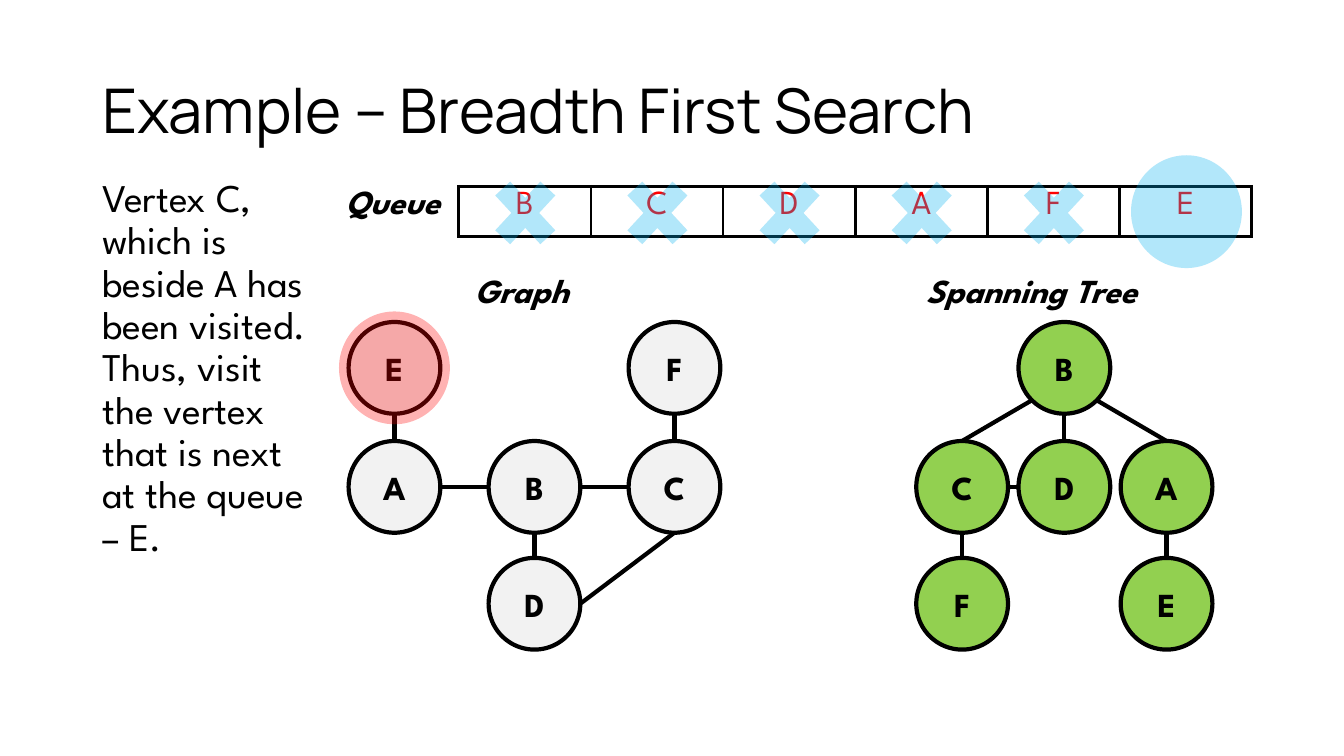
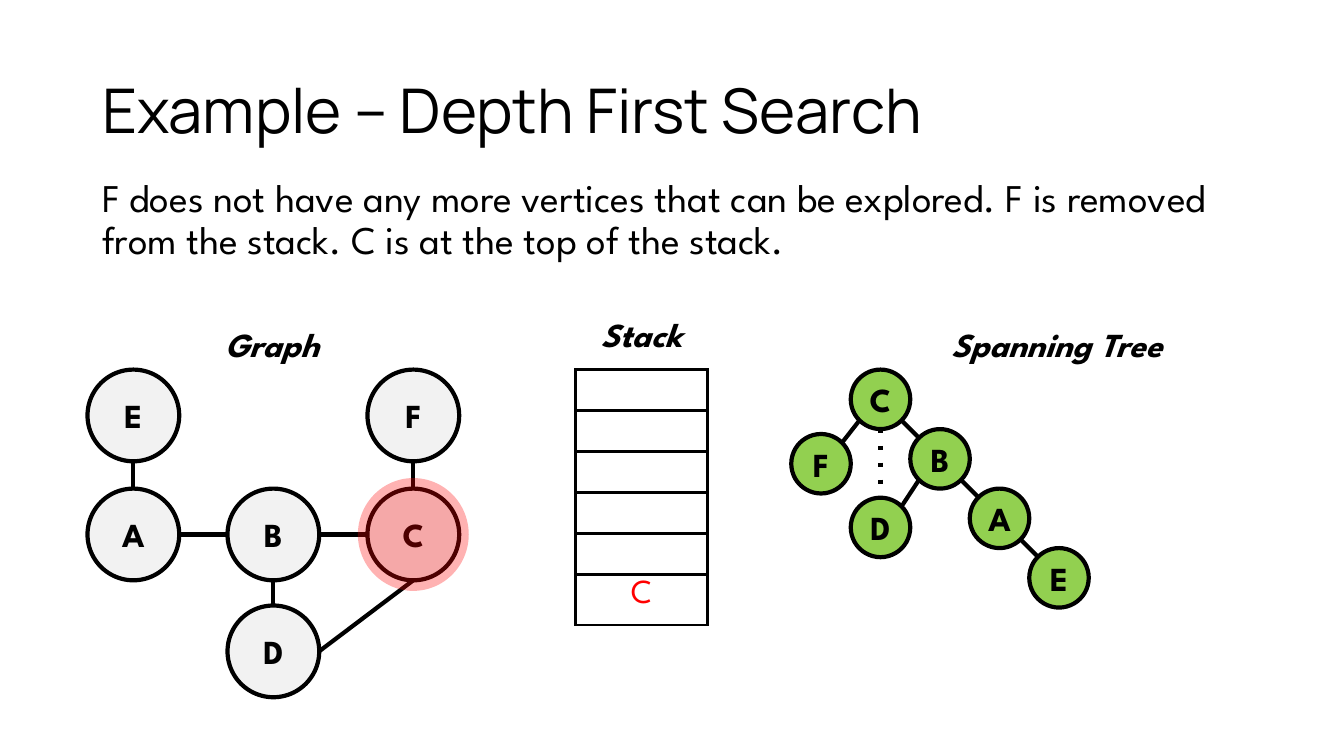
"""Builds two slides on breadth first and depth first search."""
from lxml import etree
from pptx import Presentation
from pptx.dml.color import RGBColor
from pptx.enum.dml import MSO_LINE
from pptx.enum.shapes import MSO_CONNECTOR, MSO_SHAPE
from pptx.enum.text import MSO_ANCHOR, PP_ALIGN
from pptx.oxml.ns import qn
from pptx.util import Pt

BLACK = RGBColor(0x00, 0x00, 0x00)
WHITE = RGBColor(0xFF, 0xFF, 0xFF)
GRAY = RGBColor(0xF2, 0xF2, 0xF2)
GREEN = RGBColor(0x92, 0xD0, 0x50)
RED = RGBColor(0xFF, 0x00, 0x00)
BLUE = RGBColor(0x00, 0xB0, 0xF0)
OVAL = MSO_SHAPE.OVAL
CROSS = MSO_SHAPE.MATH_MULTIPLY
STRAIGHT = MSO_CONNECTOR.STRAIGHT
DOT = MSO_LINE.ROUND_DOT
MIDDLE = MSO_ANCHOR.MIDDLE
TOP = MSO_ANCHOR.TOP
CENTER = PP_ALIGN.CENTER
LEFT = PP_ALIGN.LEFT

HEAD, BODY = "Manrope", "League Spartan"
WIDE, TALL = 94.4, 29.3
BIG, SMALL = 65.5, 42.5
DIAG = 0.5 ** 0.5
SIDES = {
    "n": (0, -1), "s": (0, 1), "e": (1, 0), "w": (-1, 0),
    "ne": (DIAG, -DIAG), "nw": (-DIAG, -DIAG),
    "se": (DIAG, DIAG), "sw": (-DIAG, DIAG),
}
GRAPH = {"A": (0, 85), "B": (100, 85), "C": (200, 85),
         "F": (200, 0), "D": (100, 168.5), "E": (0, 0)}
LINKS = ["E s A n", "A e B w", "B e C w", "C n F s", "B s D n", "C s D e"]


class Deck:
    """Holds the style and the current slide."""

    def __init__(self):
        self.prs = Presentation()
        self.prs.slide_width, self.prs.slide_height = Pt(960), Pt(540)

    def page(self, title):
        self.slide = self.prs.slides.add_slide(self.prs.slide_layouts[6])
        box = self.text(title, 66, 29, 828, 104, 44, HEAD)
        box.vertical_anchor = MIDDLE

    def style(self, frame, size=24, font=BODY, color=BLACK,
              bold=False, slant=False, align=LEFT):
        for para in frame.paragraphs:
            para.alignment = align
            for run in para.runs:
                run.font.size, run.font.name = Pt(size), font
                run.font.bold, run.font.italic = bold, slant
                run.font.color.rgb = color

    def text(self, words, x, y, w, h, size=28, font=BODY, **look):
        box = self.slide.shapes.add_textbox(Pt(x), Pt(y), Pt(w), Pt(h))
        frame = box.text_frame
        frame.word_wrap = True
        frame.vertical_anchor = TOP
        frame.text = words
        frame.paragraphs[0].line_spacing = 0.9
        self.style(frame, size, font, **look)
        return frame

    def label(self, words, x, y, w):
        frame = self.text(words, x, y, w, 36, 24, bold=True, slant=True)
        frame.paragraphs[0].line_spacing = 1.0

    def shape(self, kind, x, y, w, h, color):
        item = self.slide.shapes.add_shape(kind, Pt(x), Pt(y), Pt(w), Pt(h))
        item.shadow.inherit = False
        item.fill.solid()
        item.fill.fore_color.rgb = color
        return item

    def tint(self, kind, x, y, w, h, color):
        item = self.shape(kind, x, y, w, h, color)
        tone = item._element.spPr.find(".//" + qn("a:srgbClr"))
        etree.SubElement(tone, qn("a:alpha"), val="30000")
        item.line.fill.background()
        return item

    def halo(self, x, y, color):
        self.tint(OVAL, x - 39.6, y - 40.3, 79.2, 80.6, color)

    def cross(self, x, y):
        self.tint(CROSS, x, y, 62, 67, BLUE).adjustments[0] = 0.235

    def node(self, name, x, y, size, color):
        item = self.shape(OVAL, x, y, size, size, color)
        item.line.color.rgb, item.line.width = BLACK, Pt(3)
        item.text_frame.text = name
        item.text_frame.vertical_anchor = MIDDLE
        self.style(item.text_frame, bold=True, align=CENTER)

    def edge(self, start, end, dotted=False):
        ends = [Pt(v) for v in (*start, *end)]
        link = self.slide.shapes.add_connector(STRAIGHT, *ends)
        link.line.color.rgb, link.line.width = BLACK, Pt(3)
        props = link._element.spPr
        if dotted:
            link.line.dash_style = DOT
            props.find(".//" + qn("a:prstDash")).set("val", "dot")
        etree.SubElement(props, qn("a:effectLst"))

    def net(self, x, y, spots, links, size, color, dots=()):
        mids = {}
        for name, (dx, dy) in spots.items():
            self.node(name, x + dx, y + dy, size, color)
            mids[name] = (x + dx + size / 2, y + dy + size / 2)

        def port(name, side):
            return [m + size / 2 * d for m, d in zip(mids[name], SIDES[side])]

        for link in [*links, *dots]:
            first, out, last, into = link.split()
            self.edge(port(first, out), port(last, into), link in dots)
        return mids

    def border(self, cell, sides):
        props = cell._tc.get_or_add_tcPr()
        for spot, side in enumerate("LRTB"):
            line = etree.Element(qn("a:ln" + side), w=str(Pt(2.25)))
            if side in sides:
                fill = etree.SubElement(line, qn("a:solidFill"))
                etree.SubElement(fill, qn("a:srgbClr"), val=str(BLACK))
            else:
                etree.SubElement(line, qn("a:noFill"))
            props.insert(spot, line)

    def cells(self, words, x, y, across):
        count = len(words)
        rows, cols = (1, count) if across else (count, 1)
        table = self.slide.shapes.add_table(
            rows, cols, Pt(x), Pt(y), Pt(cols * WIDE), Pt(rows * TALL)).table
        table.first_row = table.horz_banding = False
        for spot, (cell, word) in enumerate(zip(table.iter_cells(), words)):
            head = spot == 0
            cell.fill.solid()
            cell.fill.fore_color.rgb = WHITE
            edge = "R" if across else "B"
            self.border(cell, edge if head else "LRTB")
            if word:
                cell.text_frame.text = word
                self.style(cell.text_frame, color=BLACK if head else RED,
                           bold=head, slant=head, align=CENTER)


def breadth(deck):
    deck.page("Example – Breadth First Search")
    deck.cells(["Queue", *"BCDAFE"], 233.3, 133, True)
    deck.text("Vertex C, which is beside A has been visited. Thus, visit "
              "the vertex that is next at the queue – E.", 66, 124, 168, 362)
    deck.label("Graph", 332, 189.5, 91)
    deck.label("Spanning Tree", 654.5, 189.5, 181)
    mids = deck.net(249, 230, GRAPH, LINKS, BIG, GRAY)
    tree = {"B": (73, 0), "C": (0, 85), "D": (73, 85), "A": (146, 85),
            "F": (0, 168.5), "E": (146, 168.5)}
    links = ["B sw C n", "B s D n", "B se A n", "C e D w", "C s F n",
             "A s E n"]
    deck.net(654.5, 230, tree, links, BIG, GREEN)
    deck.halo(*mids["E"], RED)
    deck.halo(847.5, 151.2, BLUE)
    for spot in range(5):
        deck.cross(344.2 + spot * WIDE, 118.6)


def depth(deck):
    deck.page("Example – Depth First Search")
    deck.cells(["Stack", *[""] * 5, "C"], 411, 228, False)
    deck.text("F does not have any more vertices that can be explored. "
              "F is removed from the stack. C is at the top of the stack.",
              66, 124, 828, 98)
    deck.label("Graph", 153.5, 228, 91)
    deck.label("Spanning Tree", 672.5, 228, 181)
    mids = deck.net(62.5, 264, GRAPH, LINKS, BIG, GRAY)
    tree = {"C": (42.5, 0), "B": (85, 42.5), "A": (127.5, 85),
            "E": (170, 127.5), "D": (42.5, 91.5), "F": (0, 46)}
    links = ["C se B nw", "B se A nw", "A se E nw", "D ne B sw", "C sw F ne"]
    deck.net(565.2, 264, tree, links, SMALL, GREEN, ["C s D n"])
    deck.halo(*mids["C"], RED)


def main():
    deck = Deck()
    breadth(deck)
    depth(deck)
    deck.prs.save("out.pptx")


if __name__ == "__main__":
    main()
